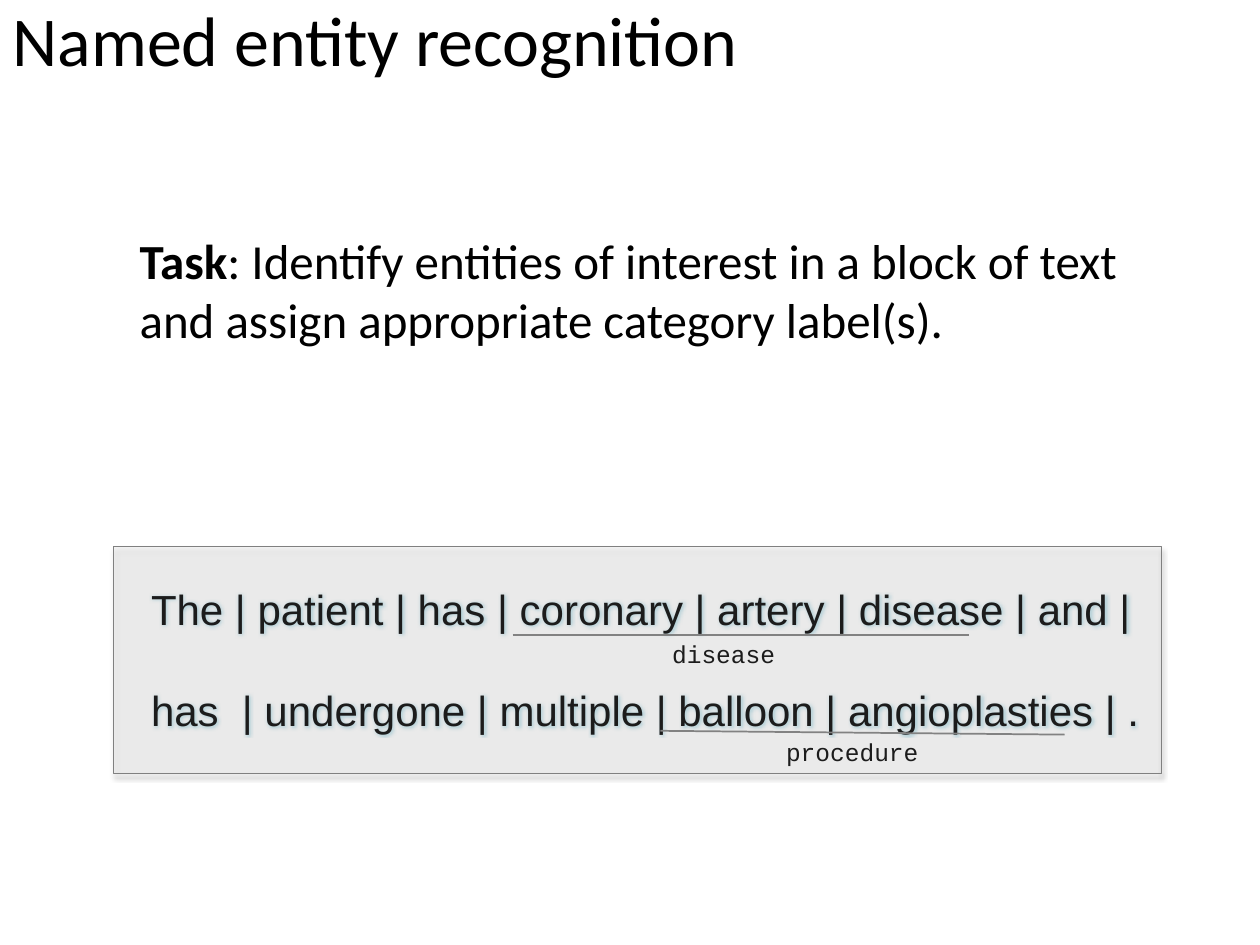
from lxml.etree import SubElement
from pptx import Presentation
from pptx.dml.color import RGBColor
from pptx.enum.shapes import MSO_CONNECTOR as Connector, MSO_SHAPE as Shape
from pptx.enum.text import MSO_ANCHOR as Anchor, MSO_AUTO_SIZE as AutoSize, PP_ALIGN as Align
from pptx.oxml.ns import qn
from pptx.util import Pt


def color(value):
    """Turn a hex string into a colour."""
    return RGBColor.from_string(value)


def add_color(parent, value, alpha):
    """Append a hex colour with an opacity in percent."""
    tint = SubElement(parent, qn("a:srgbClr"), val=value)
    SubElement(tint, qn("a:alpha"), val=str(alpha * 1000))


def write_run(paragraph, text, *, font, size, bold=False, ink="000000", glow=None):
    """Add a formatted run to a paragraph."""
    run = paragraph.add_run()
    run.text = text
    run.font.name, run.font.size, run.font.bold = font, Pt(size), bold
    run.font.color.rgb = color(ink)
    if glow:
        props = run.font._element
        effects = SubElement(props, qn("a:effectLst"))
        halo = SubElement(effects, qn("a:glow"), rad=str(Pt(5)))
        add_color(halo, glow, 40)
        props.find(qn("a:latin")).addprevious(effects)


class SlideBuilder:
    """Hold the style and the current slide."""

    heading_font = "Calibri"
    sentence_font = "Arial"
    label_font = "Courier New"
    halo = "4BACC6"
    rule = "7F7F7F"
    panel_fill = "BFBFBF"
    panel_line = "808080"

    def __init__(self, deck):
        """Start a title-only slide."""
        self.slide = deck.slides.add_slide(deck.slide_layouts[5])

    def title(self, text, left, top, width, height):
        """Place and format the title."""
        heading = self.slide.shapes.title
        heading.left, heading.top = Pt(left), Pt(top)
        heading.width, heading.height = Pt(width), Pt(height)
        frame = heading.text_frame
        frame.vertical_anchor = Anchor.TOP
        frame.auto_size = AutoSize.NONE
        line = frame.paragraphs[0]
        line.alignment, line.line_spacing = Align.LEFT, 0.9
        write_run(line, text, font=self.heading_font, size=40)

    def text(self, lines, left, top, width, height, spacing=1.0, wrap=True, **style):
        """Add a text box whose lines are lists of (text, bold) parts."""
        box = self.slide.shapes.add_textbox(Pt(left), Pt(top), Pt(width), Pt(height))
        frame = box.text_frame
        frame.word_wrap = wrap
        for index, parts in enumerate(lines):
            line = frame.add_paragraph() if index else frame.paragraphs[0]
            line.line_spacing = spacing
            for words, bold in parts:
                write_run(line, words, bold=bold, **style)

    def entity(self, label, start, end, label_left, label_top, label_width):
        """Underline an entity and name its category."""
        self.text([[(label, False)]], label_left, label_top, label_width, 24.5,
                  wrap=False, font=self.label_font, size=14)
        underline = self.slide.shapes.add_connector(
            Connector.STRAIGHT, *map(Pt, start + end))
        underline.line.color.rgb = color(self.rule)
        underline.line.width = Pt(1)
        SubElement(underline._element.spPr, qn("a:effectLst"))

    def panel(self, left, top, width, height):
        """Add the translucent panel with its soft shadow."""
        panel = self.slide.shapes.add_shape(
            Shape.RECTANGLE, Pt(left), Pt(top), Pt(width), Pt(height))
        panel.shadow.inherit = False
        panel.fill.solid()
        panel.fill.fore_color.rgb = color(self.panel_fill)
        panel.line.color.rgb = color(self.panel_line)
        panel.line.width = Pt(0.75)
        props = panel._element.spPr
        tint = props.find(qn("a:solidFill")).find(qn("a:srgbClr"))
        SubElement(tint, qn("a:alpha"), val="15000")
        shadow = SubElement(props.find(qn("a:effectLst")), qn("a:outerShdw"),
                            blurRad=str(Pt(3.1)), dist=str(Pt(1.8)),
                            dir="5400000", rotWithShape="0")
        add_color(shadow, "000000", 35)


def main():
    """Build the named entity recognition slide."""
    deck = Presentation()
    deck.slide_width, deck.slide_height = Pt(720), Pt(540)
    page = SlideBuilder(deck)
    sentence = ["The | patient | has | coronary | artery | disease | and |",
                "has  | undergone | multiple | balloon | angioplasties | ."]
    page.text([[(line, False)] for line in sentence], 79.2, 301, 605, 124,
              spacing=2.0, font=page.sentence_font, size=24, glow=page.halo)
    page.title("Named entity recognition", 0, 0, 684, 90)
    task = [("Task", True),
            (": Identify entities of interest in a block of text "
             "and assign appropriate category label(s).", False)]
    page.text([task], 72.7, 128.2, 574, 149, font=page.heading_font, size=28)
    page.entity("disease", (293, 363), (553.7, 363), 377, 361.4, 74.2)
    page.entity("procedure", (377.3, 417.6), (608.4, 419.8), 442.1, 417.6, 90.7)
    page.panel(64.8, 312.5, 599, 129.6)
    deck.save("out.pptx")


if __name__ == "__main__":
    main()
